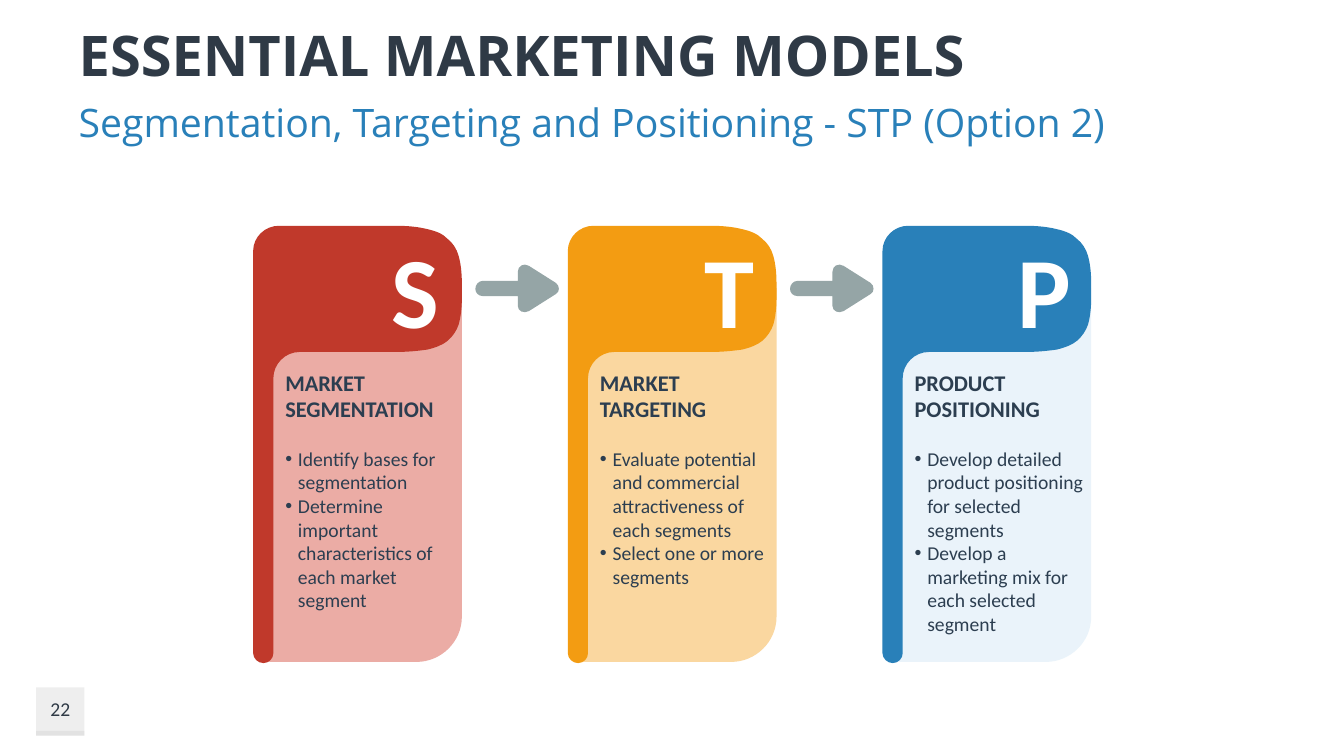
from lxml.etree import SubElement
from pptx import Presentation
from pptx.dml.color import RGBColor
from pptx.enum.shapes import MSO_SHAPE
from pptx.enum.text import MSO_ANCHOR, MSO_AUTO_SIZE, PP_ALIGN
from pptx.oxml.ns import qn
from pptx.util import Cm, Pt

COLORS = {
    "dark": "2F3A46", "text": "2C3E50", "blue": "2980B9", "white": "FFFFFF",
    "red": "C0392B", "pink": "EBACA5", "orange": "F39C12", "sand": "FAD7A0",
    "sky": "74B5E0", "arrow": "95A5A6", "badge": "BFBFBF",
}

# Letter, ribbon colour, panel colour, panel opacity in %, heading, bullets
CARDS = [
    ("S", "red", "pink", 100, "MARKET SEGMENTATION",
     ["Identify bases for segmentation",
      "Determine important characteristics of each market segment"]),
    ("T", "orange", "sand", 100, "MARKET\vTARGETING",
     ["Evaluate potential and commercial attractiveness of each segments",
      "Select one or more segments"]),
    ("P", "blue", "sky", 15, "PRODUCT POSITIONING",
     ["Develop detailed product positioning for selected segments",
      "Develop a marketing mix for each selected segment"]),
]
CARD_LEFT, CARD_TOP, CARD_PITCH = 6.38, 5.69, 7.93

# Outlines in cm: two numbers are a corner, six are a Bézier curve
PANEL = [(5.05, 0), (0, 0), (0, 9.42), (3.91, 9.42),
         (4.52, 9.42, 5.05, 8.92, 5.05, 8.28)]
RIBBON = [
    (0.51, 3.84), (0.51, 10.77),
    (0.51, 10.9, 0.4, 11.02, 0.26, 11.02), (0.12, 11.02, 0, 10.9, 0, 10.77),
    (0, 0.64), (0, 0.28, 0.3, 0, 0.65, 0), (3.58, 0),
    (3.91, 0, 4.17, 0.03, 4.37, 0.08), (4.6, 0.13, 4.78, 0.2, 4.9, 0.33),
    (5.03, 0.43, 5.13, 0.58, 5.18, 0.76), (5.23, 0.94, 5.26, 1.17, 5.26, 1.45),
    (5.26, 1.83),
    (5.26, 2.08, 5.23, 2.31, 5.18, 2.49), (5.13, 2.64, 5.03, 2.79, 4.9, 2.9),
    (4.78, 3.0, 4.6, 3.07, 4.39, 3.12), (4.17, 3.15, 3.91, 3.18, 3.58, 3.18),
    (1.17, 3.18), (0.81, 3.18, 0.51, 3.48, 0.51, 3.84),
]
ARROW = [
    (2.03, 0.46), (1.35, 0.03), (1.22, -0.05, 1.07, 0.03, 1.07, 0.18),
    (1.07, 0.41), (0.18, 0.41),
    (0.08, 0.41, 0, 0.51, 0, 0.61), (0, 0.71, 0.08, 0.79, 0.18, 0.79),
    (1.07, 0.79), (1.07, 1.04), (1.07, 1.17, 1.22, 1.24, 1.35, 1.17),
    (2.03, 0.74), (2.13, 0.69, 2.13, 0.53, 2.03, 0.46),
]


def rgb(name):
    return RGBColor.from_string(COLORS[name])


def paint(sp, color, opacity=100):
    sp.shadow.inherit = False
    sp.line.fill.background()
    sp.fill.solid()
    sp.fill.fore_color.rgb = rgb(color)
    if opacity < 100:
        clr = sp.fill._xPr.find(qn("a:solidFill"))[0]
        SubElement(clr, qn("a:alpha")).set("val", str(opacity * 1000))


def format_runs(p, size, color, bold=False, font="Calibri"):
    for r in p.runs:
        r.font.name, r.font.size, r.font.bold = font, Pt(size), bold
        r.font.color.rgb = rgb(color)


def bend(sp, outline):
    """Join each three lines that stand for a curve into one Bézier segment."""
    lines = iter(list(sp._element.iter(qn("a:lnTo"))))
    for seg in outline[1:]:
        line = next(lines)
        if len(seg) == 2:
            continue
        curve = line.makeelement(qn("a:cubicBezTo"))
        line.addprevious(curve)
        for part in (line, next(lines), next(lines)):
            curve.append(part[0])
            part.getparent().remove(part)


def add_outline(s, outline, left, top, color, opacity=100):
    points = [(Cm(left + x), Cm(top + y))
              for seg in outline for x, y in zip(seg[::2], seg[1::2])]
    builder = s.shapes.build_freeform(*points[0])
    builder.add_line_segments(points[1:], close=True)
    sp = builder.convert_to_shape()
    bend(sp, outline)
    paint(sp, color, opacity)
    return sp


def add_label(s, text, box, size, color, bold=False, anchor=MSO_ANCHOR.TOP):
    tf = s.shapes.add_textbox(*map(Cm, box)).text_frame
    tf.word_wrap = True
    tf.vertical_anchor = anchor
    tf.text = text
    tf.paragraphs[0].alignment = PP_ALIGN.CENTER
    format_runs(tf.paragraphs[0], size, color, bold)


def fill_placeholder(sp, text, box, size, color, bold, anchor):
    sp.left, sp.top, sp.width, sp.height = map(Cm, box)
    tf = sp.text_frame
    tf.text = text
    tf.word_wrap = True
    tf.auto_size = MSO_AUTO_SIZE.NONE
    tf.vertical_anchor = anchor
    p = tf.paragraphs[0]
    p.alignment = PP_ALIGN.LEFT
    p.space_before = Pt(0)
    format_runs(p, size, color, bold, "Open Sans")


def add_bullet(p):
    pPr = p._p.get_or_add_pPr()
    pPr.set("marL", str(Cm(0.32)))
    pPr.set("indent", str(Cm(-0.32)))
    SubElement(pPr, qn("a:buFont")).set("typeface", "Arial")
    SubElement(pPr, qn("a:buChar")).set("char", "•")


def write_panel(sp, heading, bullets):
    tf = sp.text_frame
    tf.word_wrap = True
    tf.vertical_anchor = MSO_ANCHOR.TOP
    tf.margin_left, tf.margin_top = Cm(0.6), Cm(2.03)
    tf.margin_right = tf.margin_bottom = Cm(0.1)
    tf.text = heading
    tf.paragraphs[0].alignment = PP_ALIGN.LEFT
    format_runs(tf.paragraphs[0], 16, "text", True)
    for i, bullet in enumerate(bullets):
        p = tf.add_paragraph()
        p.text = bullet
        p.alignment = PP_ALIGN.LEFT
        p.space_before = Pt(0 if i else 17.5)
        add_bullet(p)
        format_runs(p, 14, "text")


def add_card(s, left, letter, color, panel_color, opacity, heading, bullets):
    panel = add_outline(s, PANEL, left + 0.21, 7.26, panel_color, opacity)
    write_panel(panel, heading, bullets)
    add_outline(s, RIBBON, left, CARD_TOP, color)
    add_label(s, letter, (left + 2.95, 5.61, 2.26, 3.33), 72, "white", True)


def add_page_badge(s, number):
    for top, height in ((17.32, 1.22), (18.42, 0.12)):
        sp = s.shapes.add_shape(MSO_SHAPE.RECTANGLE,
                                Cm(0.91), Cm(top), Cm(1.22), Cm(height))
        paint(sp, "badge", 25)
    add_label(s, number, (0.91, 17.32, 1.22, 1.09), 14, "dark",
              anchor=MSO_ANCHOR.MIDDLE)


def main():
    prs = Presentation()
    prs.slide_width, prs.slide_height = Cm(33.87), Cm(19.05)
    s = prs.slides.add_slide(prs.slide_layouts[0])

    # Title and subtitle
    fill_placeholder(s.shapes.title, "ESSENTIAL MARKETING MODELS",
                     (1.73, 0.38, 27.23, 1.96), 40, "dark", True, MSO_ANCHOR.MIDDLE)
    fill_placeholder(s.placeholders[1],
                     "Segmentation, Targeting and Positioning - STP (Option 2)",
                     (1.73, 2.34, 27.23, 1.45), 28, "blue", False, MSO_ANCHOR.TOP)

    # Cards, with an arrow after each but the last
    for i, card in enumerate(CARDS):
        left = CARD_LEFT + i * CARD_PITCH
        add_card(s, left, *card)
        if i < len(CARDS) - 1:
            add_outline(s, ARROW, left + 5.6, 6.67, "arrow")

    # Page number
    add_page_badge(s, "22")

    prs.save("out.pptx")


if __name__ == "__main__":
    main()
